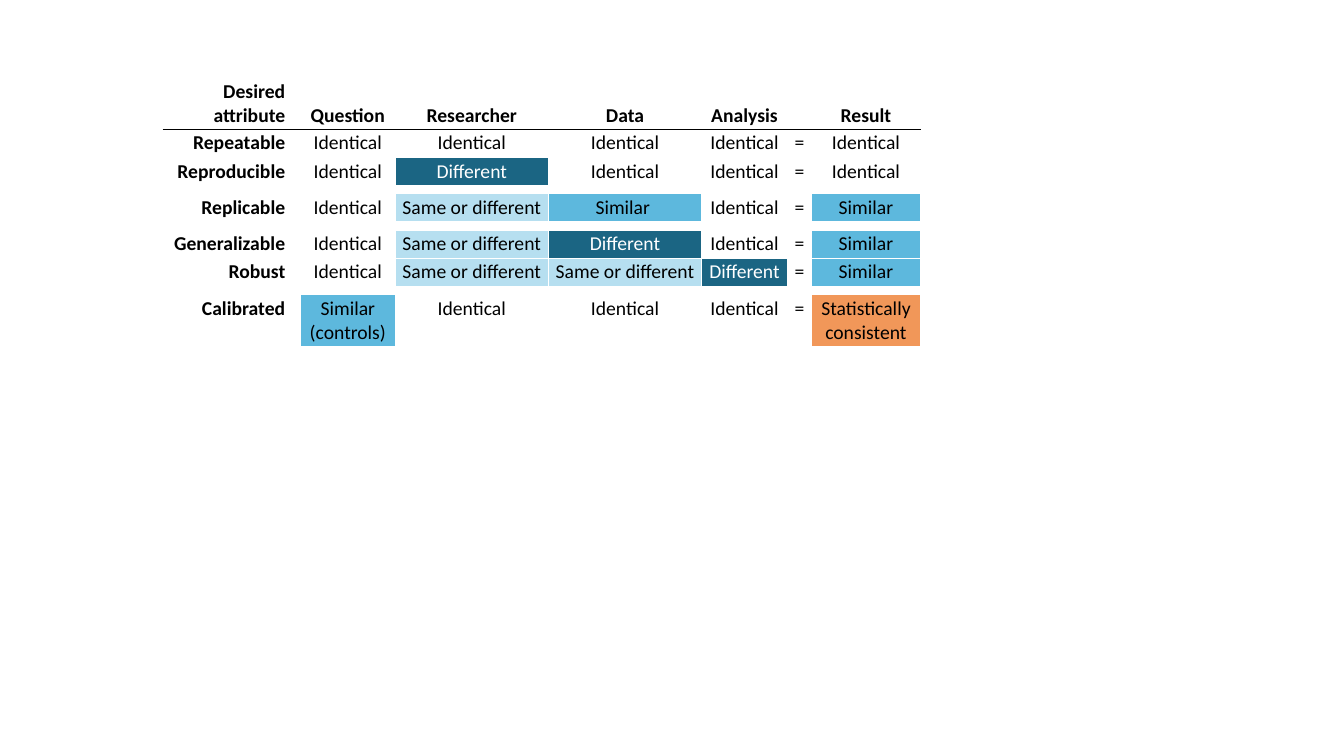
from lxml import etree
from pptx import Presentation
from pptx.dml.color import RGBColor
from pptx.enum.text import MSO_ANCHOR, PP_ALIGN
from pptx.oxml.ns import qn
from pptx.util import Inches, Pt

WHITE = RGBColor(0xFF, 0xFF, 0xFF)
BLACK = RGBColor(0, 0, 0)
DARK_BLUE = RGBColor(0x1B, 0x65, 0x83)
MID_BLUE = RGBColor(0x5D, 0xB8, 0xDD)
PALE_BLUE = RGBColor(0xB6, 0xDF, 0xF0)
ORANGE = RGBColor(0xF1, 0x97, 0x59)

# Content: an empty tuple is a narrow spacer row
SAME, EITHER, OTHER = "Identical", "Same or different", "Different"
ATTRIBUTES = [
    ("Desired attribute", "Question", "Researcher", "Data", "Analysis", "", "Result"),
    ("Repeatable", SAME, SAME, SAME, SAME, "=", SAME),
    ("Reproducible", SAME, OTHER, SAME, SAME, "=", SAME),
    (),
    ("Replicable", SAME, EITHER, "Similar ", SAME, "=", "Similar"),
    (),
    ("Generalizable", SAME, EITHER, OTHER, SAME, "=", "Similar"),
    ("Robust", SAME, EITHER, EITHER, OTHER, "=", "Similar"),
    (),
    ("Calibrated", "Similar (controls)", SAME, SAME, SAME, "=", "Statistically consistent"),
]
FILLS = {
    OTHER: DARK_BLUE,
    EITHER: PALE_BLUE,
    "Similar": MID_BLUE,
    "Similar ": MID_BLUE,
    "Similar (controls)": MID_BLUE,
    "Statistically consistent": ORANGE,
}

# Layout in inches
LEFT, TOP = 1.62, 0.77
COLUMN_WIDTHS = [1.36, 0.94, 1.52, 1.52, 0.85, 0.24, 1.08]
TALL, LINE, SPACER = 0.51, 0.28, 0.08
TALL_ROWS = (0, len(ATTRIBUTES) - 1)


def row_height(index):
    if index in TALL_ROWS:
        return TALL
    return LINE if ATTRIBUTES[index] else SPACER


def set_borders(cell, top, bottom):
    tc_pr = cell._tc.get_or_add_tcPr()
    for side, color in (("L", WHITE), ("R", WHITE), ("T", top), ("B", bottom)):
        line = etree.SubElement(tc_pr, qn(f"a:ln{side}"), w=str(Pt(1)))
        fill = etree.SubElement(line, qn("a:solidFill"))
        etree.SubElement(fill, qn("a:srgbClr"), val=str(color))


def fill_cell(cell, wording, row, column):
    header, label = row == 0, column == 0
    set_borders(cell, BLACK if row == 1 else WHITE, BLACK if header else WHITE)
    background = FILLS.get(wording, WHITE)
    cell.fill.solid()
    cell.fill.fore_color.rgb = background
    cell.vertical_anchor = MSO_ANCHOR.BOTTOM if header else MSO_ANCHOR.TOP
    cell.margin_left = Inches(0.05)
    cell.margin_right = Inches(0.15 if label else 0.05)
    cell.margin_top = cell.margin_bottom = Inches(0.02)
    paragraph = cell.text_frame.paragraphs[0]
    if not wording:
        # Small text height lets the spacer rows stay narrow
        etree.SubElement(paragraph._p, qn("a:endParaRPr"), sz="100")
        return
    paragraph.text = wording
    paragraph.alignment = PP_ALIGN.RIGHT if label else PP_ALIGN.CENTER
    font = paragraph.runs[0].font
    font.name, font.size, font.bold = "Calibri", Pt(14), header or label
    font.color.rgb = WHITE if background == DARK_BLUE else BLACK


def main():
    prs = Presentation()
    prs.slide_width, prs.slide_height = Inches(13.33), Inches(7.5)
    slide = prs.slides.add_slide(prs.slide_layouts[6])

    # Table grid
    heights = [row_height(index) for index in range(len(ATTRIBUTES))]
    comparison = slide.shapes.add_table(
        len(heights), len(COLUMN_WIDTHS), Inches(LEFT), Inches(TOP),
        Inches(sum(COLUMN_WIDTHS)), Inches(sum(heights))).table
    comparison.first_row = comparison.horz_banding = False
    for column, width in zip(comparison.columns, COLUMN_WIDTHS):
        column.width = Inches(width)

    # Cells
    for row, (height, entries) in enumerate(zip(heights, ATTRIBUTES)):
        comparison.rows[row].height = Inches(height)
        for column, wording in enumerate(entries or [""] * len(COLUMN_WIDTHS)):
            fill_cell(comparison.cell(row, column), wording, row, column)

    prs.save("out.pptx")


if __name__ == "__main__":
    main()
